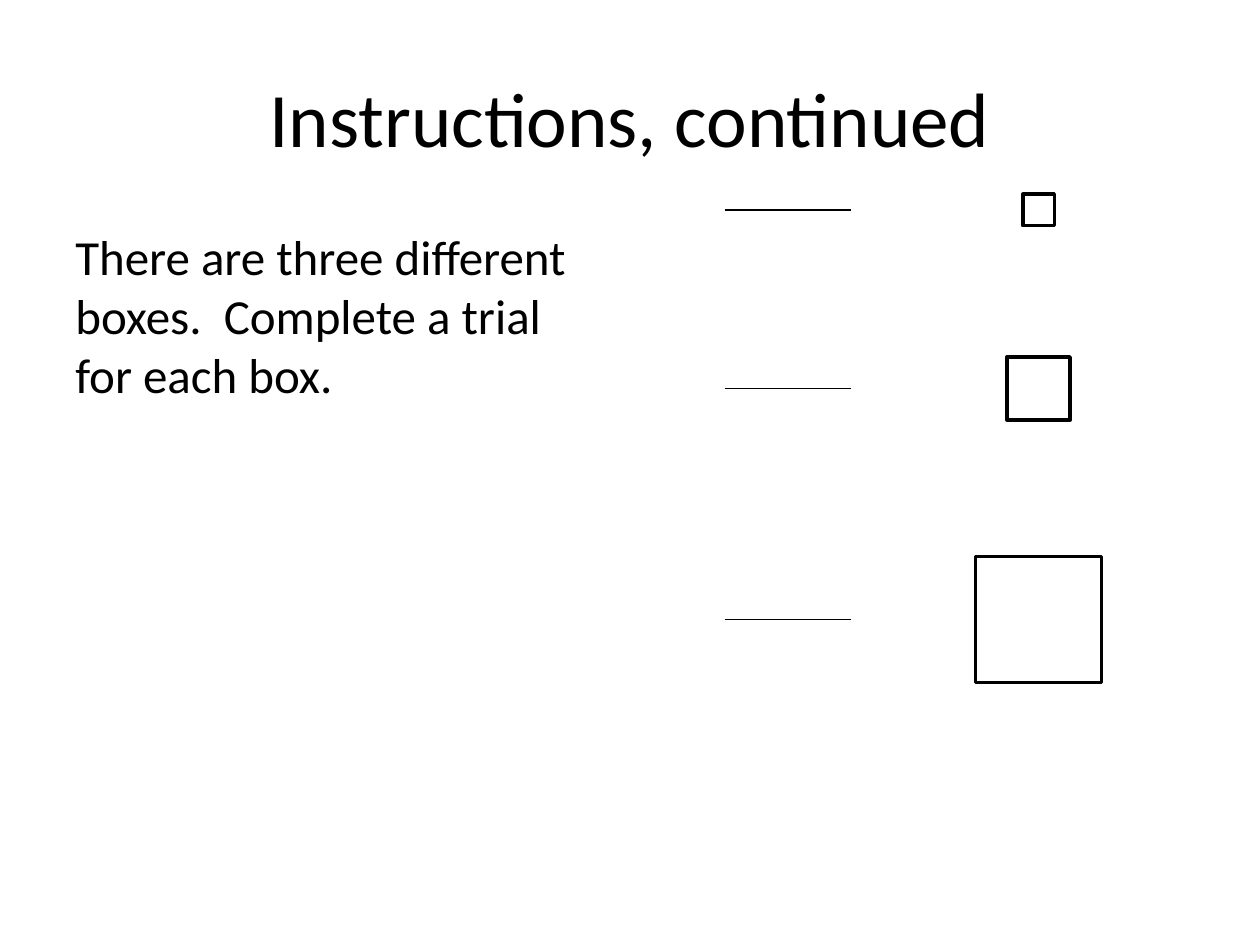
from dataclasses import dataclass

from pptx import Presentation
from pptx.dml.color import RGBColor
from pptx.enum.shapes import MSO_CONNECTOR as Connector, MSO_SHAPE as Shape
from pptx.enum.text import MSO_ANCHOR as Anchor, PP_ALIGN as Align
from pptx.oxml.ns import qn
from pptx.util import Pt
from lxml.etree import SubElement


@dataclass(frozen=True)
class Theme:
    """Colours, font, type sizes and line widths of the slide."""
    ink: RGBColor = RGBColor(0, 0, 0)
    paper: RGBColor = RGBColor(255, 255, 255)
    font: str = "Calibri"
    title_size: int = 44
    body_size: int = 28
    box_line: float = 2
    answer_line: float = 0.75


THEME = Theme()
TRIALS = [(120, 18), (222, 36), (354, 72)]


def add_text(page, box, text, size, align, anchor, space_before=0):
    """Place one paragraph of text in the given box."""
    frame = page.shapes.add_textbox(*map(Pt, box)).text_frame
    frame.word_wrap = True
    frame.vertical_anchor = anchor
    para = frame.paragraphs[0]
    para.alignment = align
    para.space_before = Pt(space_before)
    span = para.add_run()
    span.text = text
    span.font.name = THEME.font
    span.font.size = Pt(size)
    span.font.color.rgb = THEME.ink


def add_title(page, box):
    """Place the centred heading."""
    add_text(page, box, "Instructions, continued", THEME.title_size,
             Align.CENTER, Anchor.MIDDLE)


def add_instructions(page, box):
    """Place the instruction text."""
    add_text(page, box,
             "There are three different boxes.  Complete a trial for each box.",
             THEME.body_size, Align.LEFT, Anchor.TOP, space_before=7)


def add_trial(page, box):
    """Draw an answer line at the left and a square centred in the last column."""
    left, top, width, height = box
    middle = top + height / 2
    square = page.shapes.add_shape(
        Shape.RECTANGLE, Pt(left + width - 36 - height / 2), Pt(top),
        Pt(height), Pt(height))
    square.shadow.inherit = False
    square.fill.background()
    square.line.color.rgb = THEME.ink
    square.line.width = Pt(THEME.box_line)
    answer = page.shapes.add_connector(
        Connector.STRAIGHT, Pt(left), Pt(middle), Pt(left + 72), Pt(middle))
    answer.line.color.rgb = THEME.ink
    answer.line.width = Pt(THEME.answer_line)
    SubElement(answer._element.spPr, qn("a:effectLst"))


def main():
    """Build and save the slide."""
    deck = Presentation()
    deck.slide_width, deck.slide_height = Pt(720), Pt(540)
    page = deck.slides.add_slide(deck.slide_layouts[6])
    page.background.fill.solid()
    page.background.fill.fore_color.rgb = THEME.paper
    add_title(page, (36, 21.6, 648, 90))
    add_instructions(page, (36, 126, 318, 356.4))
    for middle, size in TRIALS:
        add_trial(page, (414, middle - size / 2, 215.5, size))
    deck.save("out.pptx")


if __name__ == "__main__":
    main()
